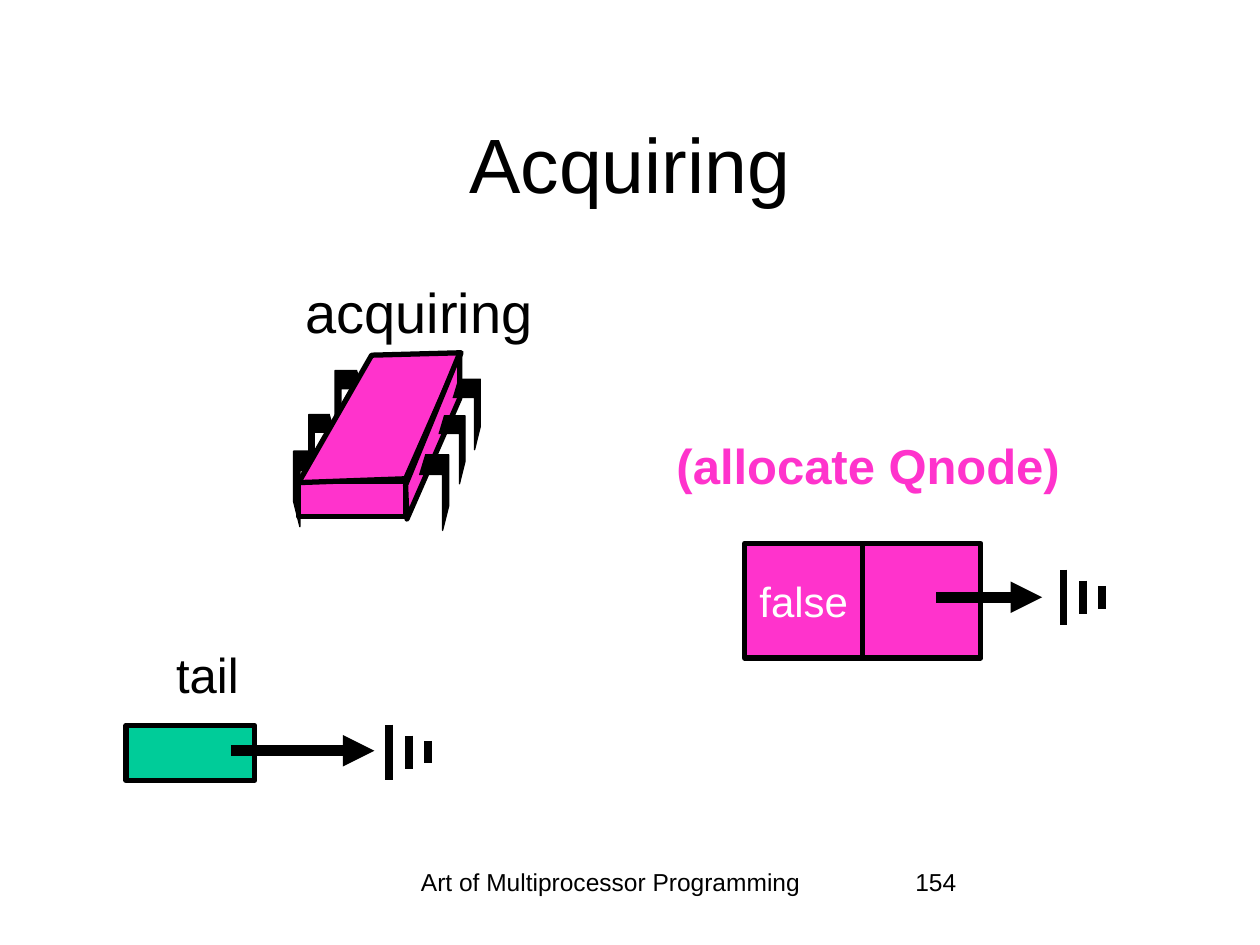
from lxml import etree
from pptx import Presentation
from pptx.dml.color import RGBColor
from pptx.enum import shapes, text
from pptx.oxml import ns
from pptx.util import Pt

BLACK = RGBColor(0, 0, 0)
WHITE = RGBColor(255, 255, 255)
PINK = RGBColor(0xFF, 0x33, 0xCC)
GREEN = RGBColor(0x00, 0xCC, 0x99)
LEFT, CENTER = text.PP_ALIGN.LEFT, text.PP_ALIGN.CENTER
TOP, MIDDLE = text.MSO_ANCHOR.TOP, text.MSO_ANCHOR.MIDDLE


def write(tf, content, size=28, color=BLACK, bold=False, align=LEFT,
          anchor=TOP, wrap=True, font="Arial"):
    tf.word_wrap = wrap
    tf.vertical_anchor = anchor
    p = tf.paragraphs[0]
    p.alignment = align
    r = p.add_run()
    r.text = content
    r.font.name, r.font.size, r.font.bold = font, Pt(size), bold
    r.font.color.rgb = color


class Diagram:
    """Style and current slide; all lengths are in points."""

    def __init__(self, slide, outline=BLACK):
        self.slide = slide
        self.outline = outline
        self.target = slide.shapes  # slide or the group being filled

    def start_group(self):
        self.target = self.slide.shapes.add_group_shape().shapes

    def end_group(self):
        self.target = self.slide.shapes

    def title(self, content, x, y, w, h):
        sp = self.slide.shapes.title
        sp.left, sp.top, sp.width, sp.height = map(Pt, (x, y, w, h))
        write(sp.text_frame, content, size=44, align=CENTER, anchor=MIDDLE)

    def label(self, content, x, y, w, h, **fmt):
        sp = self.target.add_textbox(*map(Pt, (x, y, w, h)))
        write(sp.text_frame, content, **fmt)

    def paint(self, sp, fill, width):
        sp.shadow.inherit = False
        sp.fill.solid()
        sp.fill.fore_color.rgb = fill
        sp.line.color.rgb = self.outline
        sp.line.width = Pt(width)

    def box(self, x, y, w, h, fill, content=None):
        sp = self.target.add_shape(shapes.MSO_SHAPE.RECTANGLE,
                                   *map(Pt, (x, y, w, h)))
        self.paint(sp, fill, 3)
        if content:
            write(sp.text_frame, content, size=24, color=WHITE,
                  align=CENTER, anchor=MIDDLE, wrap=False)

    def polygon(self, points, fill, width=3, close=True):
        start, *rest = [(Pt(x), Pt(y)) for x, y in points]
        fb = self.target.build_freeform(*start)
        fb.add_line_segments(rest, close=close)
        self.paint(fb.convert_to_shape(), fill, width)

    def line(self, x1, y1, x2, y2, width, arrow=False):
        c = self.target.add_connector(shapes.MSO_CONNECTOR.STRAIGHT,
                                      *map(Pt, (x1, y1, x2, y2)))
        c.line.color.rgb = self.outline
        c.line.width = Pt(width)
        if arrow:
            ln = c.line._get_or_add_ln()
            etree.SubElement(ln, ns.qn("a:tailEnd"), type="triangle")
        etree.SubElement(c._element.spPr, ns.qn("a:effectLst"))

    def ground(self, x, y):
        """Null symbol: three shrinking bars centred on y."""
        self.start_group()
        for i, height in enumerate((31.5, 19, 13)):
            bar = x + 11.1 * i
            self.line(bar, y - height / 2, bar, y + height / 2, 4.5)
        self.end_group()

    def leg(self, x, y, w, h, side):
        """Bent chip pin; x is its outer edge, side 1 opens to the right."""
        outline = ((0.8, 0), (0, 0), (0, 0.67), (0.21, 1),
                   (0.21, 0.26), (1, 0.26))
        self.polygon([(x + side * w * u, y + h * v) for u, v in outline],
                     BLACK, width=0.75, close=False)


def main():
    prs = Presentation()
    prs.slide_width, prs.slide_height = Pt(720), Pt(540)
    s = prs.slides.add_slide(prs.slide_layouts[5])
    d = Diagram(s)

    # Footer and title
    d.label("Art of Multiprocessor Programming", 208, 492, 282, 36,
            size=14, align=CENTER)
    d.label("154", 516, 492, 150, 36, size=14)
    d.title("Acquiring", 54, 48, 612, 90)

    # Queue node with its null link
    d.box(425.5, 310.5, 67.5, 65.5, PINK, "false")
    d.box(493, 310.5, 67.5, 65.5, PINK)
    d.line(535, 341.3, 595.5, 341.3, 6, arrow=True)
    d.ground(607.7, 341.3)

    # Thread drawn as a chip: front, left legs, top, side, right legs
    leg_sizes = ((17, 43.2), (15.1, 38.9), (15.8, 40.3))
    left_legs = ((167.8, 257.8), (176.4, 236.9), (191.5, 211.7))
    right_legs = ((256.5, 259.9), (265.7, 237.6), (274.5, 216.7))
    d.start_group()
    d.box(170.6, 275, 61.4, 20, PINK)
    for corner, size in zip(left_legs, leg_sizes):
        d.leg(*corner, *size, side=1)
    d.polygon([(170.6, 275.8), (231.8, 273.6), (263.5, 201.6),
               (212.4, 203)], PINK)
    d.polygon([(262.8, 201.6), (262.8, 227.5), (232.6, 296.6),
               (231.8, 277.2)], PINK)
    for corner, size in zip(right_legs, leg_sizes):
        d.leg(*corner, *size, side=-1)
    d.label("acquiring", 165.6, 154.8, 147.6, 45.4, size=32,
            align=CENTER, wrap=False)
    d.end_group()
    d.label("(allocate Qnode)", 379.5, 245.5, 237.5, 41, color=PINK, bold=True)

    # Tail pointer
    d.box(72, 414.5, 73.5, 31.5, GREEN)
    d.line(132, 429, 214, 429, 6, arrow=True)
    d.ground(222.5, 429.8)
    d.label("tail", 93.6, 365, 66, 41)

    prs.save("out.pptx")


if __name__ == "__main__":
    main()
